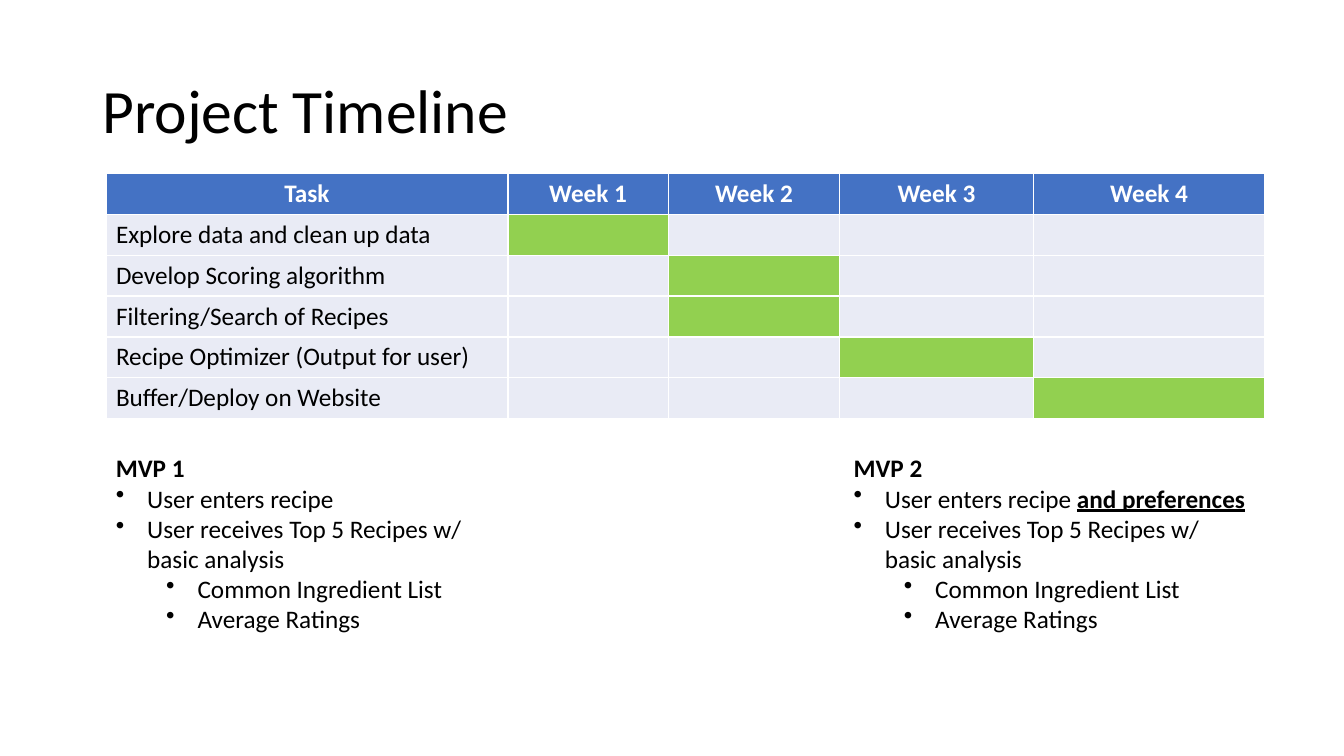
from lxml import etree
from pptx import Presentation
from pptx.dml.color import RGBColor
from pptx.enum.text import MSO_ANCHOR, PP_ALIGN
from pptx.oxml.ns import qn
from pptx.util import Cm, Pt

MIDDLE = MSO_ANCHOR.MIDDLE
CENTER = PP_ALIGN.CENTER
FONT = "Calibri"
BLACK, WHITE = "000000", "FFFFFF"
HEADER_BLUE, CELL_GREY, ACTIVE_GREEN = "4472C4", "E9EBF5", "92D050"

HEADINGS = ["Task", "Week 1", "Week 2", "Week 3", "Week 4"]
COLUMN_WIDTHS = [10.13, 4.04, 4.32, 4.88, 5.84]
ROW_HEIGHT = 1.03
TASKS = [
    ("Explore data and clean up data", 1),
    ("Develop Scoring algorithm", 2),
    ("Filtering/Search of Recipes", 2),
    ("Recipe Optimizer (Output for user)", 3),
    ("Buffer/Deploy on Website", 4),
]
MILESTONES = [
    (2.67, "MVP 1", ""),
    (21.26, "MVP 2", "and preferences"),
]


def color(value):
    """Turn a hex string into a colour."""
    return RGBColor.from_string(value)


def style_paragraph(para, size=18, hue=BLACK, bold=False):
    """Set the font of a whole paragraph."""
    para.font.name = FONT
    para.font.size = Pt(size)
    para.font.color.rgb = color(hue)
    para.font.bold = bold


def add_text_box(page, left, top, width, height):
    """Add a wrapping text box and return its text frame."""
    box = page.shapes.add_textbox(Cm(left), Cm(top), Cm(width), Cm(height))
    box.text_frame.word_wrap = True
    return box.text_frame


def add_title(page, text):
    """Add the slide title."""
    frame = add_text_box(page, 2.33, 1.01, 29.21, 3.68)
    frame.vertical_anchor = MIDDLE
    para = frame.paragraphs[0]
    para.text = text
    para.line_spacing = 0.9
    style_paragraph(para, 44)


def fill_cell(cell, fill, text=""):
    """Fill a table cell, write its text and return its paragraph."""
    cell.fill.solid()
    cell.fill.fore_color.rgb = color(fill)
    para = cell.text_frame.paragraphs[0]
    if text:
        para.text = text
    style_paragraph(para)
    return para


def add_timeline(page):
    """Add the table that marks the week of each task."""
    rows = len(TASKS) + 1
    frame = page.shapes.add_table(
        rows, len(HEADINGS), Cm(2.67), Cm(4.37),
        Cm(sum(COLUMN_WIDTHS)), Cm(rows * ROW_HEIGHT))
    table = frame.table
    table.horz_banding = False
    for row in table.rows:
        row.height = Cm(ROW_HEIGHT)
    for index, (width, heading) in enumerate(zip(COLUMN_WIDTHS, HEADINGS)):
        table.columns[index].width = Cm(width)
        para = fill_cell(table.cell(0, index), HEADER_BLUE, heading)
        para.alignment = CENTER
        style_paragraph(para, hue=WHITE, bold=True)
    for row, (task, active_week) in enumerate(TASKS, 1):
        fill_cell(table.cell(row, 0), CELL_GREY, task)
        for week in range(1, len(HEADINGS)):
            fill = ACTIVE_GREEN if week == active_week else CELL_GREY
            fill_cell(table.cell(row, week), fill)


def add_bullet(frame, text, level=0):
    """Append a bulleted paragraph at the given level."""
    para = frame.add_paragraph()
    para.text = text
    para.level = level
    style_paragraph(para)
    properties = para._p.get_or_add_pPr()
    properties.set("marL", str(Cm(0.79 + 1.27 * level)))
    properties.set("indent", str(Cm(-0.79)))
    bullet = etree.Element(qn("a:buChar"), char="•")
    properties.find(qn("a:defRPr")).addprevious(bullet)
    return para


def add_milestone(page, left, name, extra):
    """Add a milestone heading with its list of features."""
    frame = add_text_box(page, left, 11.28, 10.62, 5.64)
    heading = frame.paragraphs[0]
    heading.text = name
    style_paragraph(heading, bold=True)
    entry = add_bullet(frame, "User enters recipe " if extra else "User enters recipe")
    if extra:
        span = entry.add_run()
        span.text = extra
        span.font.bold = True
        span.font.underline = True
    add_bullet(frame, "User receives Top 5 Recipes w/ basic analysis")
    for feature in ("Common Ingredient List", "Average Ratings"):
        add_bullet(frame, feature, 1)


def main():
    """Build the project timeline slide."""
    deck = Presentation()
    deck.slide_width, deck.slide_height = Cm(33.87), Cm(19.05)
    page = deck.slides.add_slide(deck.slide_layouts[6])
    add_title(page, "Project Timeline")
    add_timeline(page)
    for left, name, extra in MILESTONES:
        add_milestone(page, left, name, extra)
    deck.save("out.pptx")


main()
